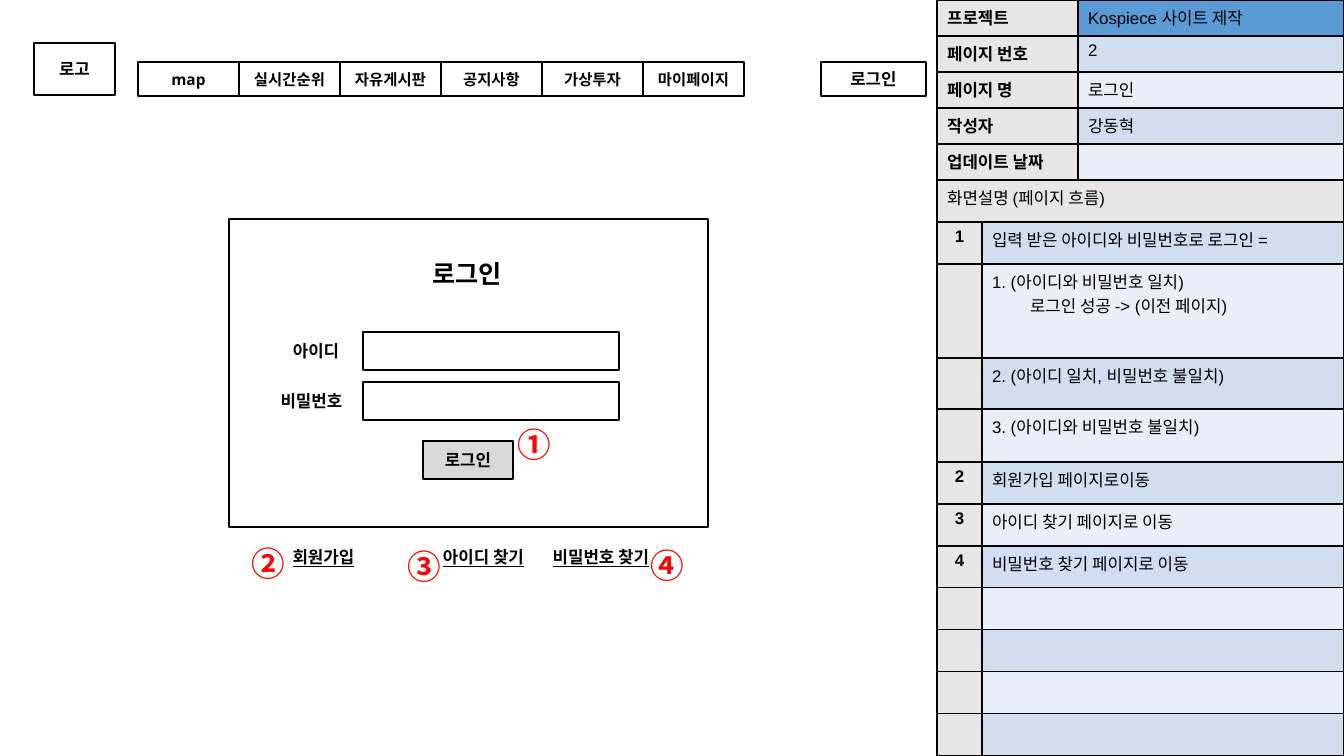
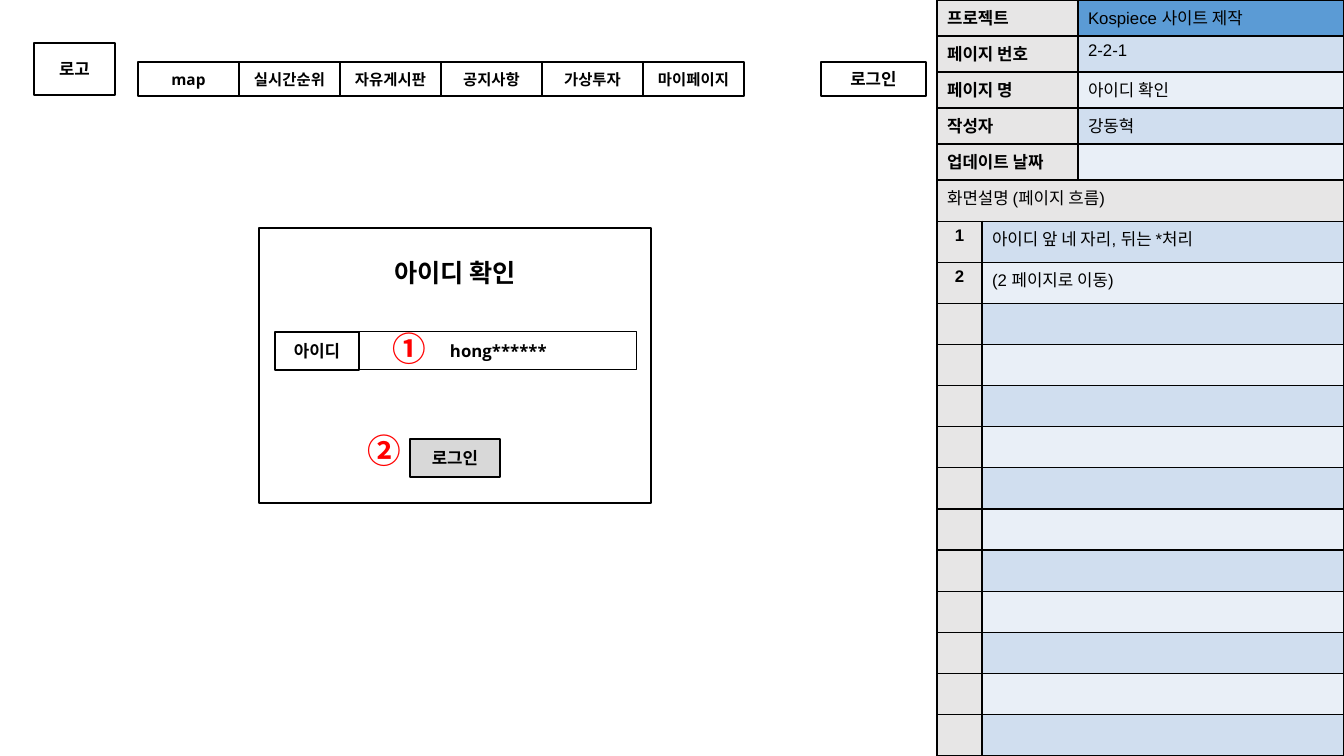
from dataclasses import dataclass

from lxml.etree import SubElement
from pptx import Presentation
from pptx.dml.color import RGBColor
from pptx.enum.shapes import MSO_SHAPE
from pptx.enum.text import MSO_ANCHOR, PP_ALIGN
from pptx.oxml.ns import qn
from pptx.util import Emu, Pt

PAGE_WIDTH = 1344
PAGE_HEIGHT = 756
EMU_PER_PX = 12192000 / PAGE_WIDTH


@dataclass(frozen=True)
class Theme:
    ink: str = "000000"
    marker: str = "FF0000"
    button: str = "D8D8D8"
    heading: str = "E7E6E6"
    project: str = "5B9BD5"
    bands: tuple = ("D0DEEF", "E9EFF7")
    table_font: str = "Arial"
    label_font: str = "Open Sans"
    korean_font: str = "Noto Sans CJK KR"
    nav_size: int = 11
    body_size: int = 12
    title_size: int = 18
    marker_size: int = 24
    thin: float = 0.75
    border: float = 1
    outline: float = 1.5


THEME = Theme()
NAV_LABELS = ("map", "실시간순위", "자유게시판", "공지사항", "가상투자", "마이페이지")
NAV_LEFT, NAV_TOP, NAV_WIDTH, NAV_HEIGHT = 138, 62, 101, 34
SIDE_LEFT = 937
INFO_ROW = 36
INFO_COLUMNS = (141, 266)
FLOW_TOP = 5 * INFO_ROW
FLOW_COLUMNS = (45, 362)
FLOW_HEIGHT = PAGE_HEIGHT - FLOW_TOP
LINE_INDENT = 38
FIELD_HEIGHT = 38


def px(value):
    return Emu(round(value * EMU_PER_PX))


def color(value):
    return RGBColor.from_string(value)


def style(para, font, size, ink=THEME.ink, bold=True, underline=False):
    para.font.name = font
    para.font.size = Pt(size)
    para.font.bold = bold
    para.font.color.rgb = color(ink)
    if underline:
        para.font.underline = True
    properties = para._p.pPr.find(qn("a:defRPr"))
    SubElement(properties, qn("a:ea")).set("typeface", THEME.korean_font)


def write_label(shape, text, size, underline=False):
    frame = shape.text_frame
    frame.word_wrap = True
    frame.vertical_anchor = MSO_ANCHOR.MIDDLE
    frame.margin_left = frame.margin_right = px(10)
    frame.margin_top = frame.margin_bottom = px(10)
    para = frame.paragraphs[0]
    para.text = text
    para.alignment = PP_ALIGN.CENTER
    style(para, THEME.label_font, size, underline=underline)


def add_box(page, left, top, width, height, text="", fill=None,
            size=THEME.body_size, line=THEME.outline):
    box = page.shapes.add_shape(MSO_SHAPE.RECTANGLE, px(left), px(top), px(width), px(height))
    box.shadow.inherit = False
    if fill:
        box.fill.solid()
        box.fill.fore_color.rgb = color(fill)
    else:
        box.fill.background()
    box.line.color.rgb = color(THEME.ink)
    box.line.width = Pt(line)
    if text:
        write_label(box, text, size)


def add_label(page, left, top, width, text, size=THEME.body_size, underline=False):
    label = page.shapes.add_textbox(px(left), px(top), px(width), px(FIELD_HEIGHT))
    write_label(label, text, size, underline)


def add_marker(page, left, top, text):
    marker = page.shapes.add_textbox(px(left), px(top), px(60), px(50))
    marker.text_frame.word_wrap = True
    para = marker.text_frame.paragraphs[0]
    para.text = text
    style(para, THEME.korean_font, THEME.marker_size, THEME.marker)


def add_button(page, left, top):
    add_box(page, left, top, 90, FIELD_HEIGHT, "로그인", THEME.button)


def add_borders(cell):
    properties = cell._tc.get_or_add_tcPr()
    for index, side in enumerate(("lnL", "lnR", "lnT", "lnB")):
        line = properties.makeelement(qn(f"a:{side}"), {"w": str(Pt(THEME.border))})
        fill = SubElement(line, qn("a:solidFill"))
        SubElement(fill, qn("a:srgbClr")).set("val", THEME.ink)
        properties.insert(index, line)


def fill_cell(cell, text, fill, bold=False, centered=False):
    cell.fill.solid()
    cell.fill.fore_color.rgb = color(fill)
    add_borders(cell)
    cell.text = text
    for index, para in enumerate(cell.text_frame.paragraphs):
        if centered:
            para.alignment = PP_ALIGN.CENTER
        style(para, THEME.table_font, THEME.body_size, bold=bold)
        if index:
            para._p.pPr.set("marL", str(px(LINE_INDENT)))
        if not text:
            ending = SubElement(para._p, qn("a:endParaRPr"))
            ending.set("sz", str(THEME.body_size * 100))


def add_grid(page, top, columns, heights):
    frame = page.shapes.add_table(len(heights), len(columns), px(SIDE_LEFT), px(top),
                                  px(sum(columns)), px(sum(heights)))
    table = frame.table
    table.first_row = table.horz_banding = False
    for column, width in zip(table.columns, columns):
        column.width = px(width)
    for row, height in zip(table.rows, heights):
        row.height = px(height)
    return table


def add_info_table(page, number, name):
    rows = (("프로젝트", "Kospiece 사이트 제작"), ("페이지 번호", number),
            ("페이지 명", name), ("작성자", "강동혁"), ("업데이트 날짜", ""))
    table = add_grid(page, 0, INFO_COLUMNS, [INFO_ROW] * len(rows))
    for index, (heading, value) in enumerate(rows):
        fill = THEME.bands[(index - 1) % 2] if index else THEME.project
        fill_cell(table.cell(index, 0), heading, THEME.heading, bold=True)
        fill_cell(table.cell(index, 1), value, fill)


def add_flow_table(page, notes, heights):
    table = add_grid(page, FLOW_TOP, FLOW_COLUMNS, heights)
    fill_cell(table.cell(0, 0), "화면설명 (페이지 흐름)", THEME.heading)
    fill_cell(table.cell(0, 1), "", THEME.heading)
    table.cell(0, 0).merge(table.cell(0, 1))
    blanks = [("", "")] * (len(heights) - 1 - len(notes))
    for index, (number, note) in enumerate([*notes, *blanks]):
        fill_cell(table.cell(index + 1, 0), number, THEME.heading, bold=True, centered=True)
        fill_cell(table.cell(index + 1, 1), note, THEME.bands[index % 2])


def add_page(deck, number, name, notes, heights):
    page = deck.slides.add_slide(deck.slide_layouts[6])
    add_info_table(page, number, name)
    add_flow_table(page, notes, heights)
    add_box(page, 34, 43, 81, 52, "로고")
    add_box(page, 821, NAV_TOP, 105, NAV_HEIGHT, "로그인")
    for index, label in enumerate(NAV_LABELS):
        add_box(page, NAV_LEFT + index * NAV_WIDTH, NAV_TOP, NAV_WIDTH, NAV_HEIGHT,
                label, size=THEME.nav_size)
    return page


def build_login(deck):
    notes = [
        ("1", "입력 받은 아이디와 비밀번호로 로그인 ="),
        ("", "1. (아이디와 비밀번호 일치)\n로그인 성공 -> (이전 페이지)"),
        ("", "2. (아이디 일치, 비밀번호 불일치)"),
        ("", "3. (아이디와 비밀번호 불일치)"),
        ("2", "회원가입 페이지로이동"),
        ("3", "아이디 찾기 페이지로 이동"),
        ("4", "비밀번호 찾기 페이지로 이동"),
    ]
    page = add_page(deck, "2", "로그인", notes, [42, 42, 94, 51, 53] + [42] * 7)
    add_box(page, 229, 219, 479, 308)
    add_label(page, 376, 254, 182, "로그인", THEME.title_size)
    for top, left, width, text in ((332, 274, 84, "아이디"), (382, 259, 105, "비밀번호")):
        add_box(page, 363, top, 256, FIELD_HEIGHT)
        add_label(page, left, top, width, text)
    add_button(page, 423, 441)
    for left, width, text in ((271, 105, "회원가입"), (422, 123, "아이디 찾기"),
                              (535, 132, "비밀번호 찾기")):
        add_label(page, left, 538, width, text, underline=True)
    for left, top, text in ((508, 419, "①"), (242, 538, "②"),
                            (398, 541, "③"), (641, 540, "④")):
        add_marker(page, left, top, text)


def build_id_check(deck):
    notes = [("1", "아이디 앞 네 자리, 뒤는 *처리"), ("2", "(2 페이지로 이동)")]
    row_count = 14
    page = add_page(deck, "2-2-1", "아이디 확인", notes,
                    [FLOW_HEIGHT / row_count] * row_count)
    add_box(page, 259, 228, 392, 275)
    add_label(page, 364, 253, 182, "아이디 확인", THEME.title_size)
    add_box(page, 360, 332, 277, FIELD_HEIGHT, "hong******", line=THEME.thin)
    add_box(page, 275, 332, 84, FIELD_HEIGHT, "아이디")
    add_button(page, 410, 439)
    add_marker(page, 383, 323, "①")
    add_marker(page, 358, 425, "②")


def main():
    deck = Presentation()
    deck.slide_width = px(PAGE_WIDTH)
    deck.slide_height = px(PAGE_HEIGHT)
    build_login(deck)
    build_id_check(deck)
    deck.save("out.pptx")


if __name__ == "__main__":
    main()
